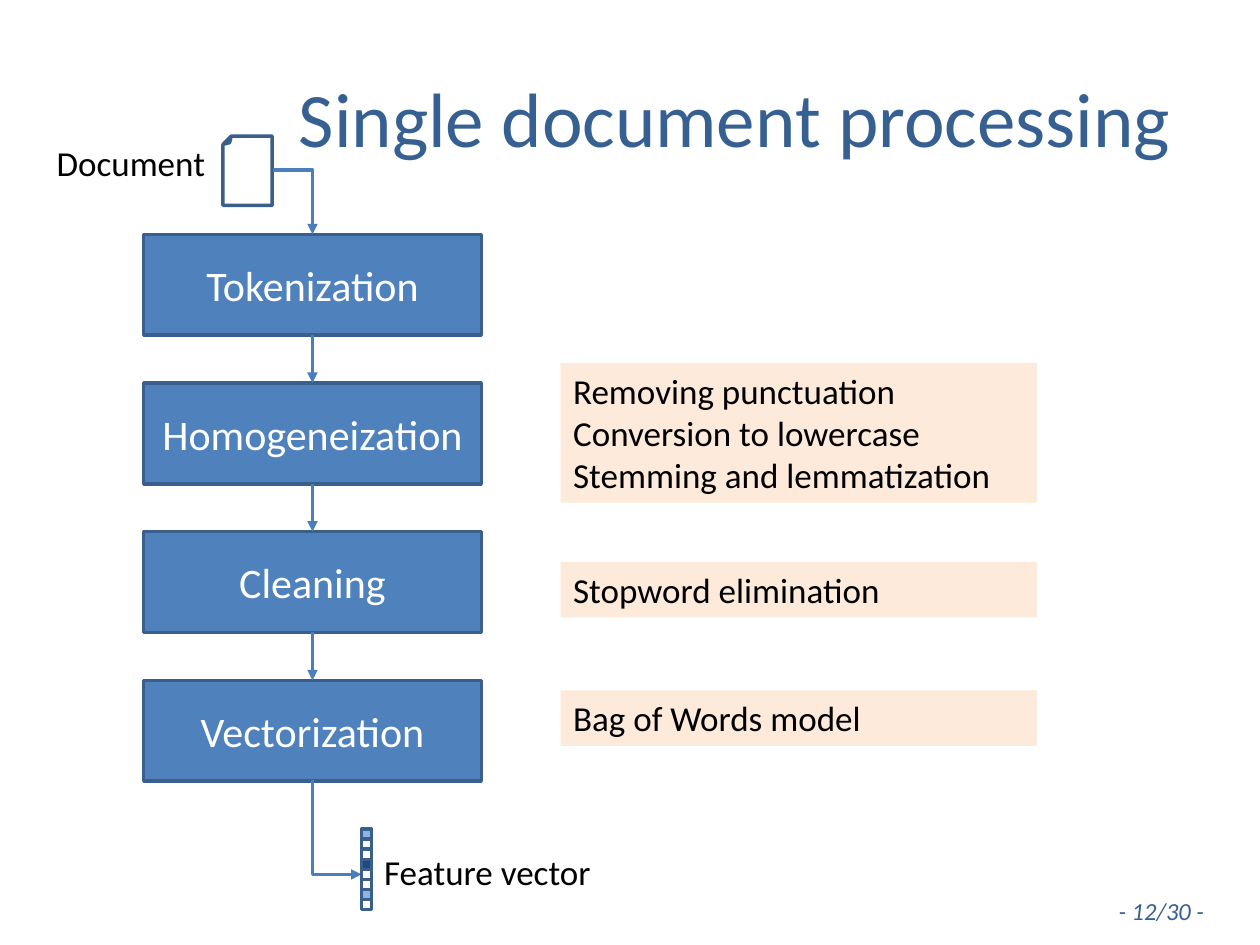
from dataclasses import dataclass

from lxml import etree
from pptx import Presentation
from pptx.dml.color import RGBColor as RGB
from pptx.enum.shapes import MSO_CONNECTOR as CONN, MSO_SHAPE as SHAPE
from pptx.enum.text import MSO_ANCHOR as ANCHOR, PP_ALIGN as ALIGN
from pptx.oxml.ns import qn
from pptx.util import Inches, Pt


@dataclass(frozen=True)
class Theme:
    font: str = "Calibri"
    heading: str = "376092"
    box: str = "4F81BD"
    border: str = "3A5F8C"
    arrow: str = "4B7EBC"
    note: str = "FDEADA"
    light: str = "8EB4E3"
    dark: str = "1F497D"
    white: str = "FFFFFF"
    black: str = "000000"
    title_size: int = 44
    step_size: int = 24
    body_size: int = 20
    page_size: int = 14
    line: int = 2


@dataclass(frozen=True)
class Box:
    x: float
    y: float
    w: float
    h: float
    text: str = ""


@dataclass(frozen=True)
class Arrow:
    start: tuple[float, float]
    end: tuple[float, float]
    bent: bool = False
    head: str = "tailEnd"


T = Theme()
AXIS = 2.48  # centre line of the flow
CELL = 0.08

STEPS = [
    Box(1.14, 1.86 + i * 1.18, 2.68, 0.8, name)
    for i, name in enumerate(["Tokenization", "Homogeneization", "Cleaning", "Vectorization"])
]
NOTES = [
    Box(4.45, 2.88, 3.78, 1.11,
        "Removing punctuation\nConversion to lowercase\nStemming and lemmatization"),
    Box(4.45, 4.46, 3.78, 0.44, "Stopword elimination"),
    Box(4.45, 5.48, 3.78, 0.44, "Bag of Words model"),
]
LABELS = [
    Box(0.35, 1.07, 1.65, 0.77, "Document"),
    Box(2.95, 6.7, 1.97, 0.44, "Feature vector"),
]
VECTOR = [T.light, T.white, T.white, T.dark, T.white, T.white, T.light, T.white]
ARROWS = [
    Arrow((2.17, 1.35), (AXIS, 1.86), bent=True),
    *(Arrow((AXIS, a.y + a.h), (AXIS, b.y)) for a, b in zip(STEPS, STEPS[1:])),
    # Bends run sideways first, so this one is drawn from its pointed end
    Arrow((2.87, 6.94), (AXIS, 6.19), bent=True, head="headEnd"),
]


def place(s, box: Box) -> None:
    for name, value in zip(("left", "top", "width", "height"), (box.x, box.y, box.w, box.h)):
        setattr(s, name, Inches(value))


def write(s, text: str, size: int, color: str, align=ALIGN.LEFT,
          anchor=ANCHOR.TOP, wrap: bool = True, italic: bool = False) -> None:
    tf = s.text_frame
    tf.text = text
    for name, value in {"word_wrap": wrap, "vertical_anchor": anchor}.items():
        setattr(tf, name, value)
    for p in tf.paragraphs:
        p.alignment = align
        for r in p.runs:
            fmt = {"name": T.font, "size": Pt(size), "italic": italic}
            for name, value in fmt.items():
                setattr(r.font, name, value)
            r.font.color.rgb = RGB.from_string(color)


def add_box(slide, box: Box, fill: str, border: str | None = None, kind=SHAPE.RECTANGLE):
    s = slide.shapes.add_shape(kind, *map(Inches, (box.x, box.y, box.w, box.h)))
    s.shadow.inherit = False
    s.fill.solid()
    s.fill.fore_color.rgb = RGB.from_string(fill)
    if border:
        s.line.color.rgb = RGB.from_string(border)
        s.line.width = Pt(T.line)
    else:
        s.line.fill.background()
    return s


def add_label(slide, box: Box, size: int, color: str, **fmt) -> None:
    s = slide.shapes.add_textbox(*map(Inches, (box.x, box.y, box.w, box.h)))
    write(s, box.text, size, color, **fmt)


def add_arrow(slide, arrow: Arrow) -> None:
    kind = CONN.ELBOW if arrow.bent else CONN.STRAIGHT
    s = slide.shapes.add_connector(kind, *map(Inches, arrow.start + arrow.end))
    s.line.color.rgb = RGB.from_string(T.arrow)
    s.line.width = Pt(T.line)
    sp = s._element.spPr
    if arrow.bent:  # a single corner
        sp.find(qn("a:prstGeom")).set("prst", "bentConnector2")
    etree.SubElement(sp.find(qn("a:ln")), qn(f"a:{arrow.head}"), type="triangle")
    etree.SubElement(sp, qn("a:effectLst"))


def main() -> None:
    prs = Presentation()
    prs.slide_width, prs.slide_height = Inches(10), Inches(7.5)
    slide = prs.slides.add_slide(prs.slide_layouts[5])

    # Title and page number
    title = slide.shapes.title
    place(title, Box(2.17, 0.3, 7.33, 1.25))
    write(title, "Single document processing", T.title_size, T.heading,
          align=ALIGN.CENTER, anchor=ANCHOR.MIDDLE)
    add_label(slide, Box(8.78, 7.06, 0.92, 0.34, "- 12/30 -"), T.page_size, T.heading,
              wrap=False, italic=True)

    # Processing steps and their notes
    for box in STEPS:
        write(add_box(slide, box, T.box, T.border), box.text, T.step_size, T.white,
              align=ALIGN.CENTER, anchor=ANCHOR.MIDDLE)
    for box in NOTES:
        write(add_box(slide, box, T.note), box.text, T.body_size, T.black)

    # Document sheet, with its fold at the top left
    sheet = add_box(slide, Box(1.77, 1.08, 0.39, 0.55), T.white, T.border, SHAPE.FOLDED_CORNER)
    sheet.rotation = 180

    # Arrows and labels
    for arrow in ARROWS:
        add_arrow(slide, arrow)
    for box in LABELS:
        add_label(slide, box, T.body_size, T.black)

    # Feature vector
    for i, fill in enumerate(VECTOR):
        add_box(slide, Box(2.87, 6.58 + i * CELL, CELL, CELL), fill, T.border)

    prs.save("out.pptx")


if __name__ == "__main__":
    main()
